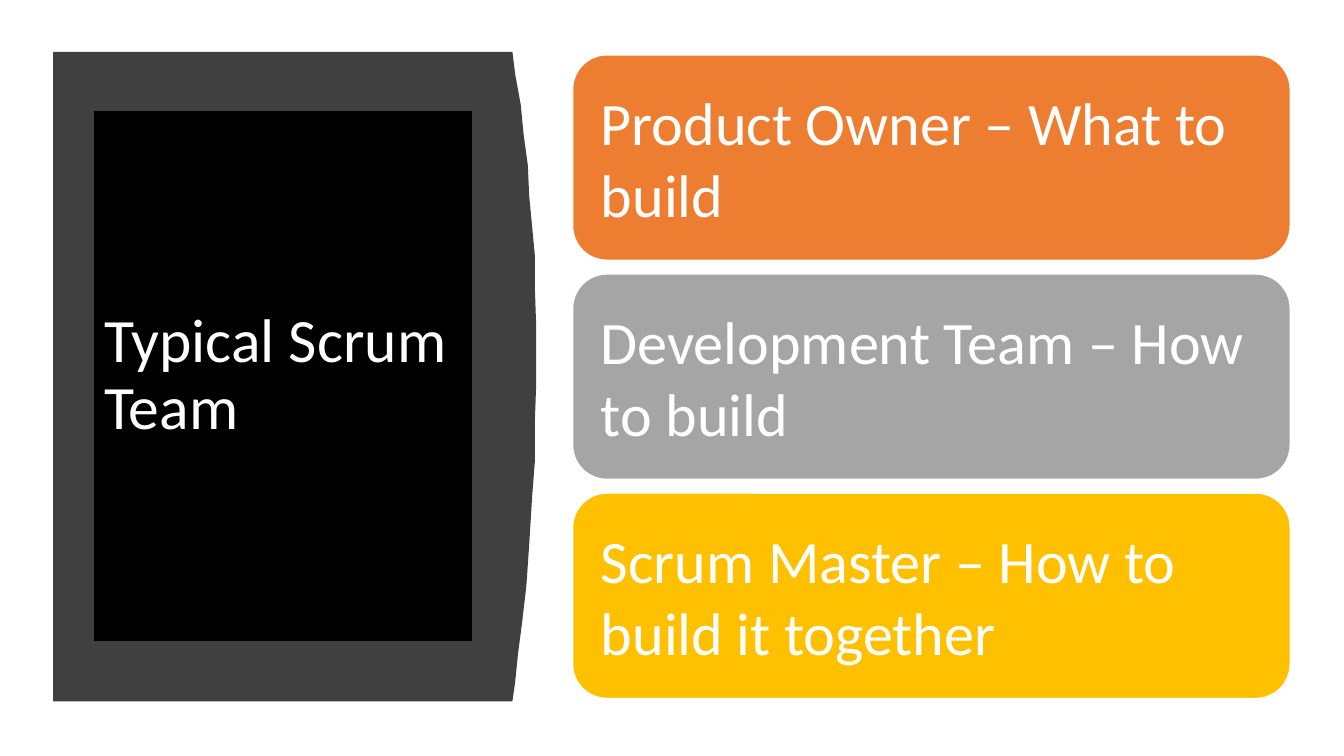
import pptx
import pptx.util
import pptx.dml.color
import pptx.enum.shapes
import pptx.enum.text

Pt = pptx.util.Pt
SHAPES = pptx.enum.shapes.MSO_SHAPE

COLORS = {
    "panel": "404040",
    "title": "000000",
    "owner": "ED7D31",
    "developers": "A5A5A5",
    "master": "FFC000",
    "white": "FFFFFF",
}

ROLES = [
    ("Product Owner – What to build", "owner"),
    ("Development Team – How to build", "developers"),
    ("Scrum Master – How to build it together", "master"),
]

PANEL_OUTLINE = [
    (38.2, 37.4), (365.8, 37.4), (367.9, 53.3), (371.5, 74.9),
    (374.4, 96.5), (376.6, 118.1), (378.4, 139.7), (380.2, 161.3),
    (381.5, 182.2), (382.4, 203.8), (383, 234), (383, 273.6),
    (382.5, 302.4), (381.6, 329.8), (380.2, 356.4), (378, 388.8),
    (375.8, 418.3), (373, 444.2), (370.1, 466.6), (367.6, 487),
    (365.8, 501.1), (38.2, 501.1),
]


def rgb(name):
    return pptx.dml.color.RGBColor.from_string(COLORS[name])


def paint(shape, fill, line=None):
    shape.shadow.inherit = False
    shape.fill.solid()
    shape.fill.fore_color.rgb = rgb(fill)
    if line:
        shape.line.color.rgb = rgb(line)
        shape.line.width = Pt(1)
    else:
        shape.line.fill.background()


def write(shape, text, size, inset, color="white", spacing=1.0):
    frame = shape.text_frame
    frame.word_wrap = True
    frame.vertical_anchor = pptx.enum.text.MSO_ANCHOR.MIDDLE
    frame.margin_left = frame.margin_right = Pt(inset)
    frame.margin_top = frame.margin_bottom = Pt(inset / 2)
    paragraph = frame.paragraphs[0]
    paragraph.alignment = pptx.enum.text.PP_ALIGN.LEFT
    paragraph.line_spacing = spacing
    run = paragraph.add_run()
    run.text = text
    run.font.name = "Calibri"
    run.font.size = Pt(size)
    run.font.color.rgb = rgb(color)


def add_block(slide, kind, left, top, width, height, fill, line):
    block = slide.shapes.add_shape(kind, Pt(left), Pt(top), Pt(width), Pt(height))
    paint(block, fill, line)
    return block


def add_panel(slide):
    start, *rest = PANEL_OUTLINE
    outline = slide.shapes.build_freeform(*start, scale=Pt(1))
    outline.add_line_segments(rest, close=True)
    paint(outline.convert_to_shape(), "panel")


def add_title(slide, text):
    title = add_block(slide, SHAPES.RECTANGLE, 67.5, 79.7, 269.5, 377.6, "title", "title")
    write(title, text, size=44, inset=7.2, spacing=0.9)


def add_role(slide, index, text, fill):
    top = 39.2 + index * 156.5
    card = add_block(slide, SHAPES.ROUNDED_RECTANGLE, 409, top, 512.6, 146.7, fill, "white")
    write(card, text, size=43, inset=13)


def main():
    deck = pptx.Presentation()
    deck.slide_width, deck.slide_height = Pt(960), Pt(540)
    slide = deck.slides.add_slide(deck.slide_layouts[6])
    add_panel(slide)
    add_title(slide, "Typical Scrum Team")
    for index, (text, fill) in enumerate(ROLES):
        add_role(slide, index, text, fill)
    deck.save("out.pptx")


if __name__ == "__main__":
    main()
